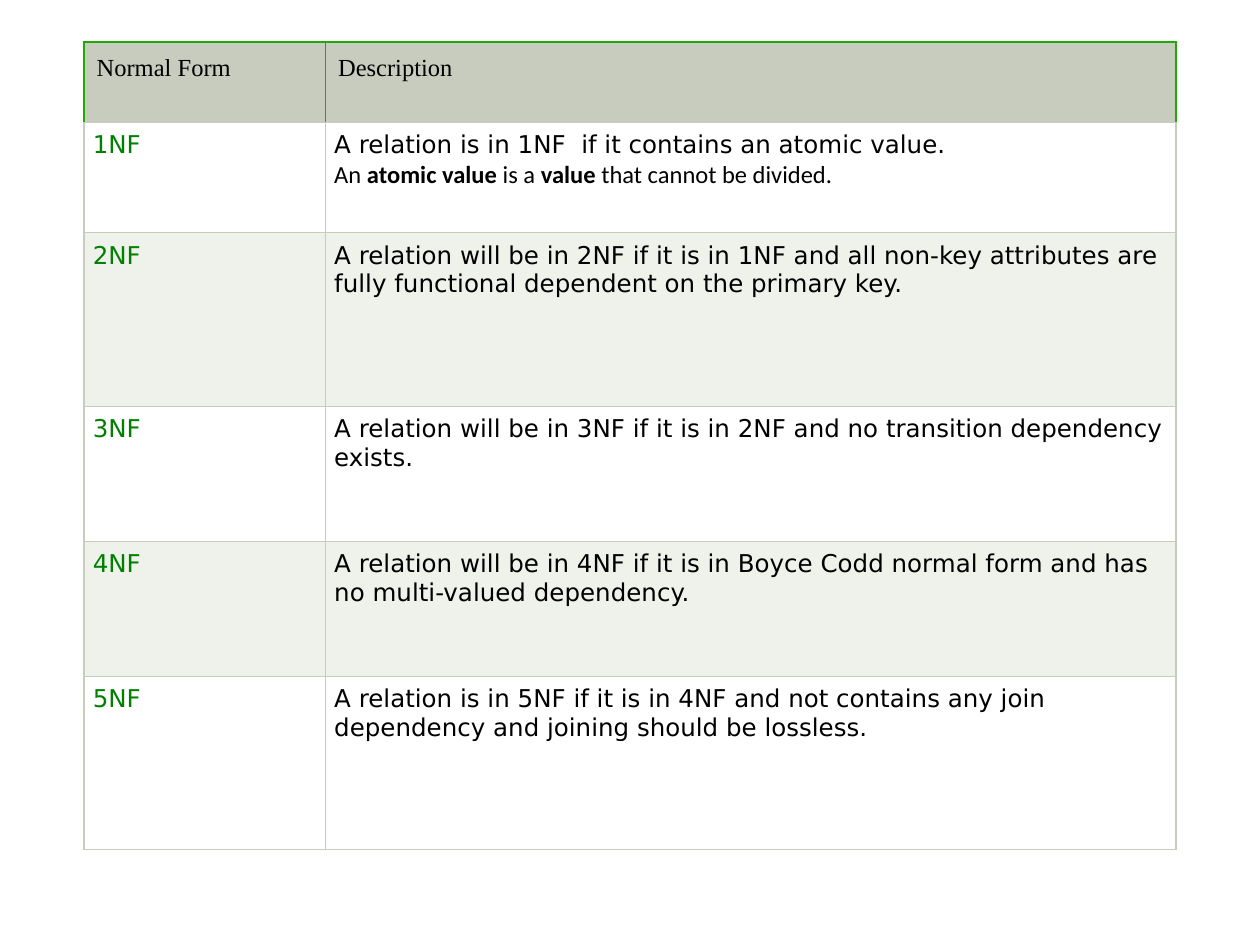
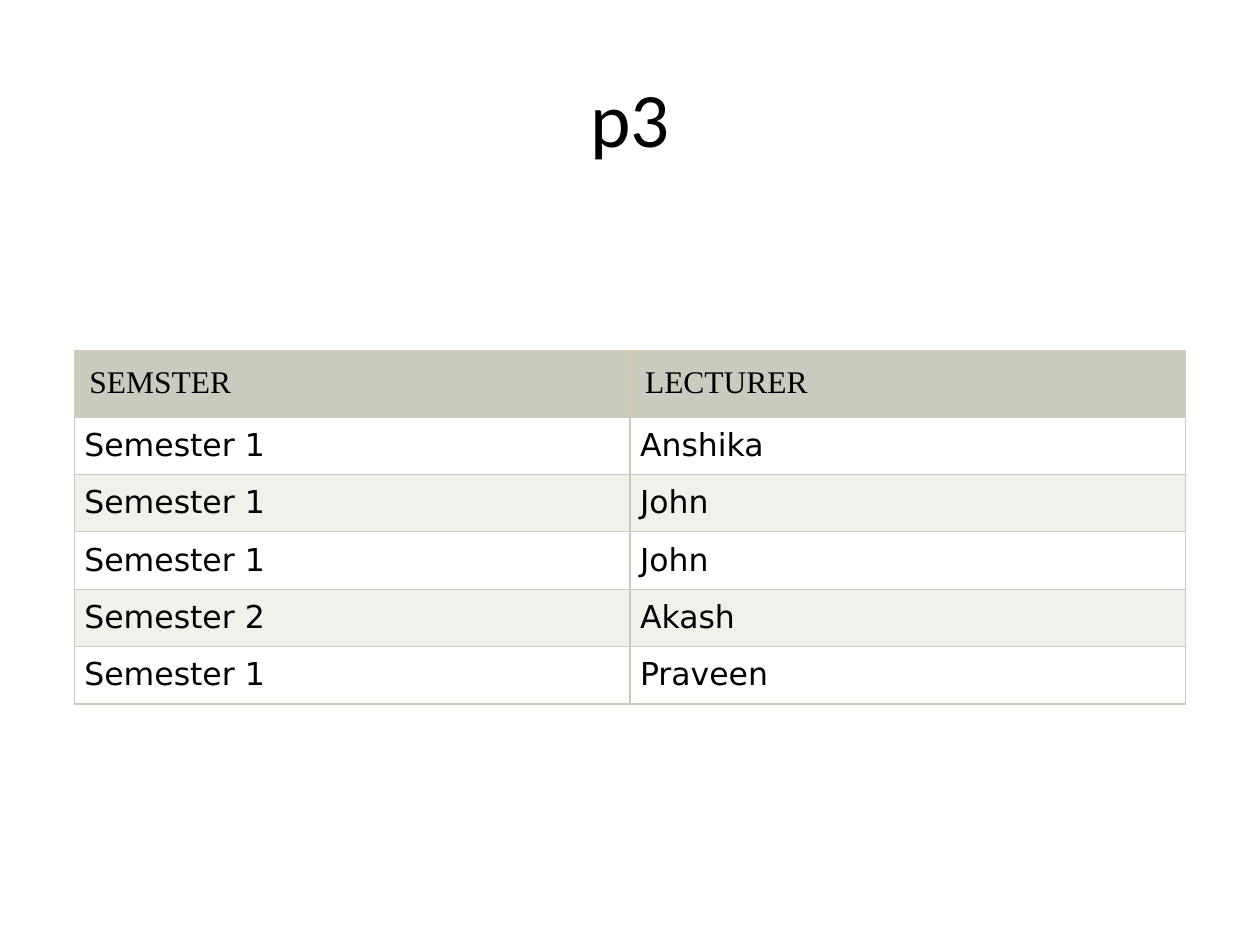
from lxml import etree
from pptx import Presentation
from pptx import util as u
from pptx.dml.color import RGBColor
from pptx.enum import text
from pptx.oxml.ns import qn

BLACK = RGBColor(0x00, 0x00, 0x00)
WHITE = RGBColor(0xFF, 0xFF, 0xFF)
GREEN = RGBColor(0x00, 0x80, 0x00)
SAGE = RGBColor(0xC7, 0xCC, 0xBE)
PALE_SAGE = RGBColor(0xEF, 0xF1, 0xEB)
LEAF = RGBColor(0x20, 0xAA, 0x06)
SAND = RGBColor(0xE0, 0xCA, 0xAD)

HEAD_FONT, BODY_FONT, PLAIN_FONT = "Times New Roman", "DejaVu Sans", "Calibri"
GRID_COLS, GRID_ROWS = 120, 90
TITLE_ONLY, BLANK = 5, 6

NORMAL_FORMS = [
    ("1NF", "A relation is in 1NF  if it contains an atomic value."),
    ("2NF", "A relation will be in 2NF if it is in 1NF and all non-key attributes "
            "are fully functional dependent on the primary key."),
    ("3NF", "A relation will be in 3NF if it is in 2NF and no transition "
            "dependency exists."),
    ("4NF", "A relation will be in 4NF if it is in Boyce Codd normal form and has "
            "no multi-valued dependency."),
    ("5NF", "A relation is in 5NF if it is in 4NF and not contains any join "
            "dependency and joining should be lossless."),
]
ATOMIC_NOTE = [("An ", False), ("atomic value", True), (" is a ", False),
               ("value", True), (" that cannot be divided.", False)]
LECTURERS = [("Semester 1", "Anshika"), ("Semester 1", "John"),
             ("Semester 1", "John"), ("Semester 2", "Akash"),
             ("Semester 1", "Praveen")]


class Deck:
    """Holds the shared style and the slide being built."""

    def __init__(self):
        self.prs = Presentation()
        self.prs.slide_width, self.prs.slide_height = u.Inches(10), u.Inches(7.5)
        self.s = None

    def slide(self, layout):
        self.s = self.prs.slides.add_slide(self.prs.slide_layouts[layout])
        self.s.background.fill.solid()
        self.s.background.fill.fore_color.rgb = WHITE

    def x(self, cols):
        return round(self.prs.slide_width * cols / GRID_COLS)

    def y(self, rows):
        return round(self.prs.slide_height * rows / GRID_ROWS)

    def run(self, p, words, size, font=BODY_FONT, color=BLACK, bold=False):
        r = p.add_run()
        r.text = words
        r.font.size, r.font.name, r.font.bold = u.Pt(size), font, bold
        r.font.color.rgb = color

    def title(self, words):
        sp = self.s.shapes.title
        sp.left, sp.top = self.x(6), self.y(3.6)
        sp.width, sp.height = self.x(108), self.y(15)
        tf = sp.text_frame
        tf.vertical_anchor = text.MSO_ANCHOR.MIDDLE
        p = tf.paragraphs[0]
        p.alignment = text.PP_ALIGN.CENTER
        self.run(p, words, 44, PLAIN_FONT)

    def borders(self, cell, edge):
        """Draw the cell's sides in the edge colour, the bottom always in sage."""
        tc_pr = cell._tc.get_or_add_tcPr()
        for side in "LRTB":
            ln = etree.SubElement(tc_pr, qn("a:ln" + side), w=str(u.Pt(0.75)))
            fill = etree.SubElement(ln, qn("a:solidFill"))
            color = SAGE if side == "B" else edge
            etree.SubElement(fill, qn("a:srgbClr"), val=str(color))

    def cell(self, cell, words, fill, edge, inset, **style):
        self.borders(cell, edge)
        cell.fill.solid()
        cell.fill.fore_color.rgb = fill
        cell.margin_left = cell.margin_right = u.Inches(inset)
        cell.margin_top = cell.margin_bottom = u.Inches(inset)
        self.run(cell.text_frame.paragraphs[0], words, **style)

    def table(self, left, top, widths, heights, head, body, size, edge,
              insets, key_color=BLACK):
        """Add a banded table; insets are those of the head and of the body."""
        frame = self.s.shapes.add_table(
            len(heights), len(widths), self.x(left), self.y(top),
            self.x(sum(widths)), self.y(sum(heights)))
        table = frame.table
        table.first_row = table.horz_banding = False
        for column, width in zip(table.columns, widths):
            column.width = self.x(width)
        for row, height in zip(table.rows, heights):
            row.height = self.y(height)
        for j, words in enumerate(head):
            self.cell(table.cell(0, j), words, SAGE, edge, insets[0],
                      size=size, font=HEAD_FONT)
        for i, record in enumerate(body, 1):
            for j, words in enumerate(record):
                self.cell(table.cell(i, j), words, WHITE if i % 2 else PALE_SAGE,
                          SAGE, insets[1], size=size,
                          color=BLACK if j else key_color)
        return table


def normal_forms(deck):
    deck.slide(BLANK)
    table = deck.table(8, 4, [23, 81], [7.65, 10.5, 16.55, 12.85, 12.85, 16.55],
                       ["Normal Form", "Description"], NORMAL_FORMS,
                       size=14, edge=LEAF, insets=(0.1, 0.07), key_color=GREEN)
    p = table.cell(1, 1).text_frame.add_paragraph()
    for words, bold in ATOMIC_NOTE:
        deck.run(p, words, 14, PLAIN_FONT, bold=bold)


def lecturers(deck):
    deck.slide(TITLE_ONLY)
    deck.title("p3")
    deck.table(7.08, 33.36, [52.92] * 2, [6.36] + [5.47] * len(LECTURERS),
               ["SEMSTER", "LECTURER"], LECTURERS,
               size=18, edge=SAND, insets=(0.12, 0.08))


def main():
    deck = Deck()
    normal_forms(deck)
    lecturers(deck)
    deck.prs.save("out.pptx")


if __name__ == "__main__":
    main()
